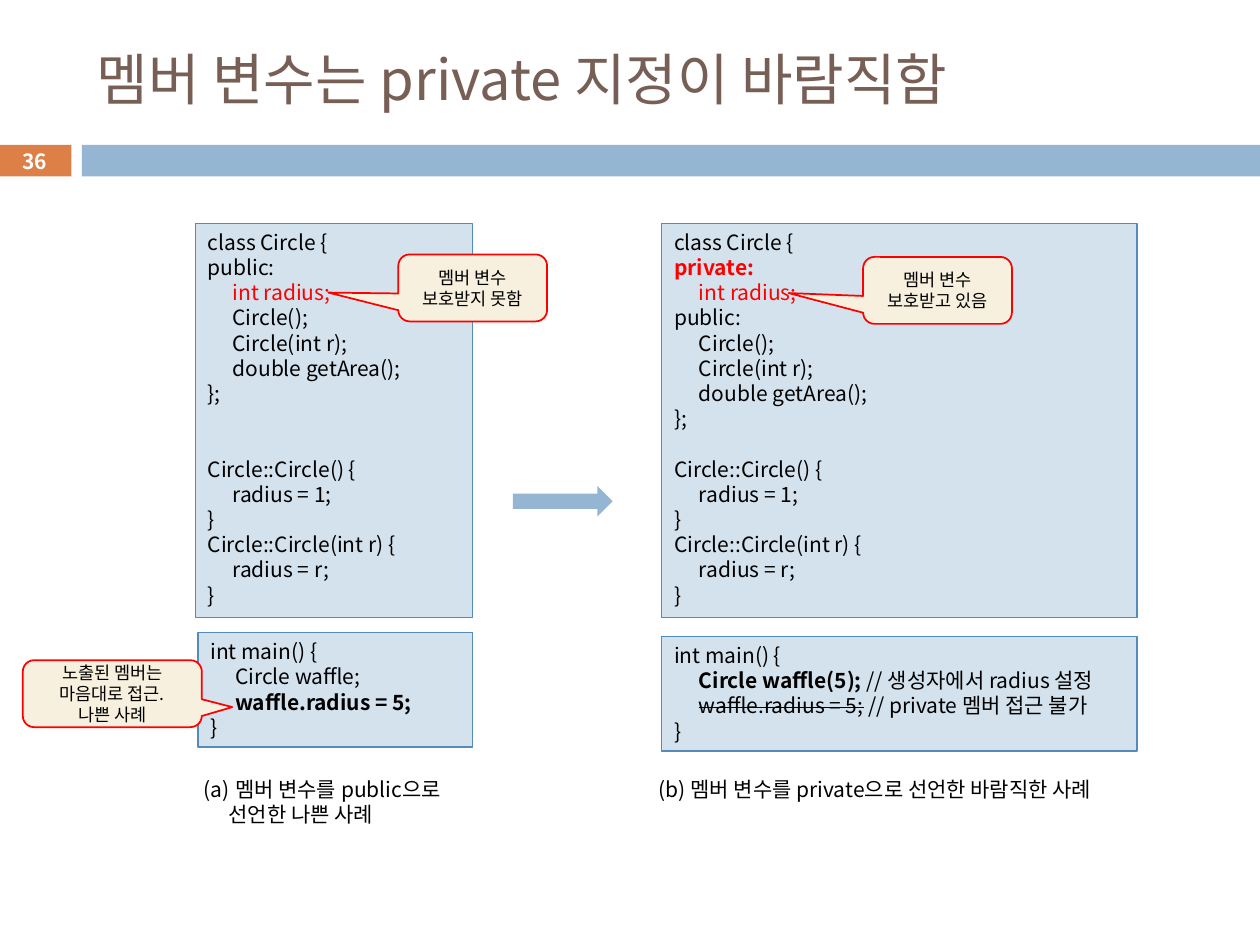
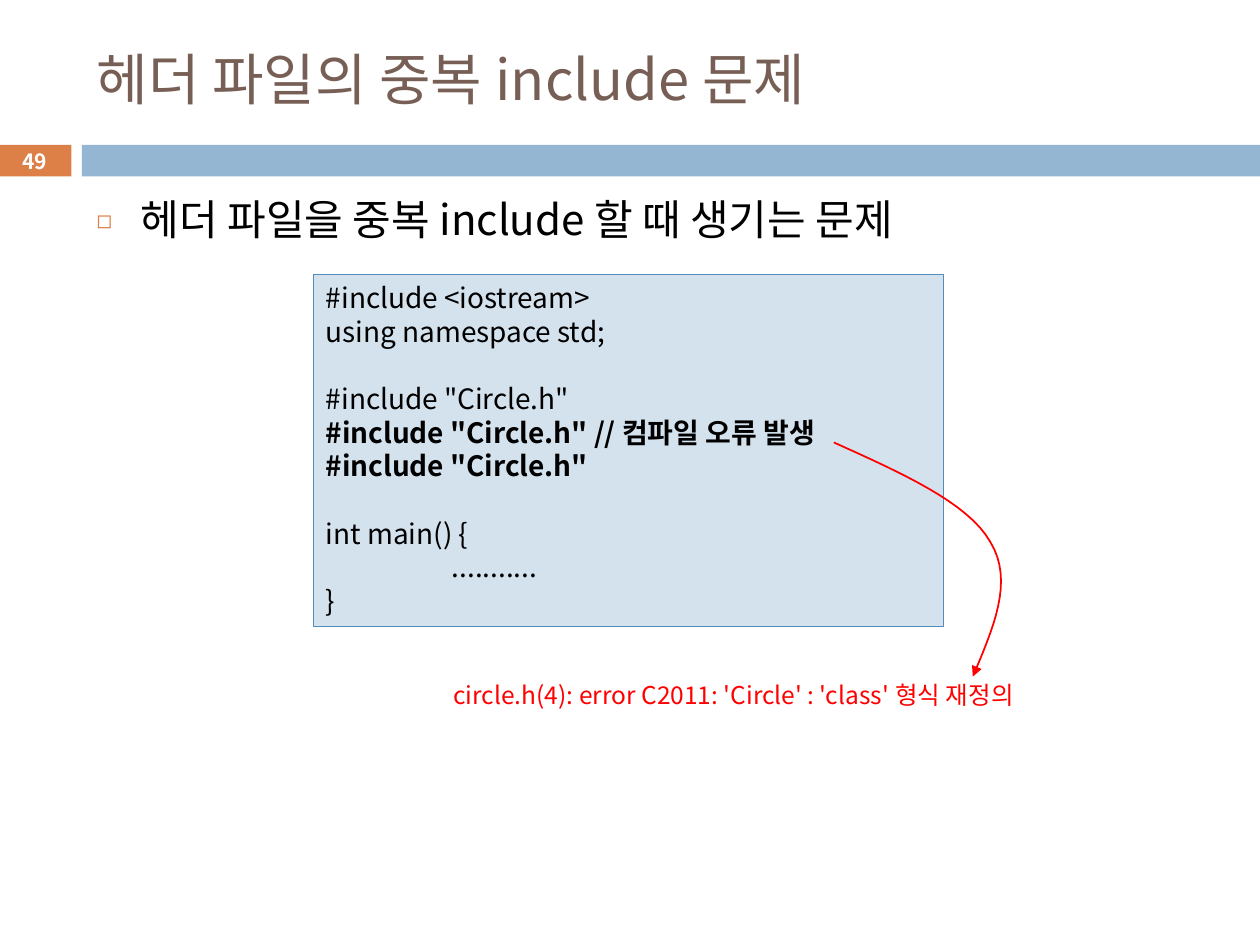
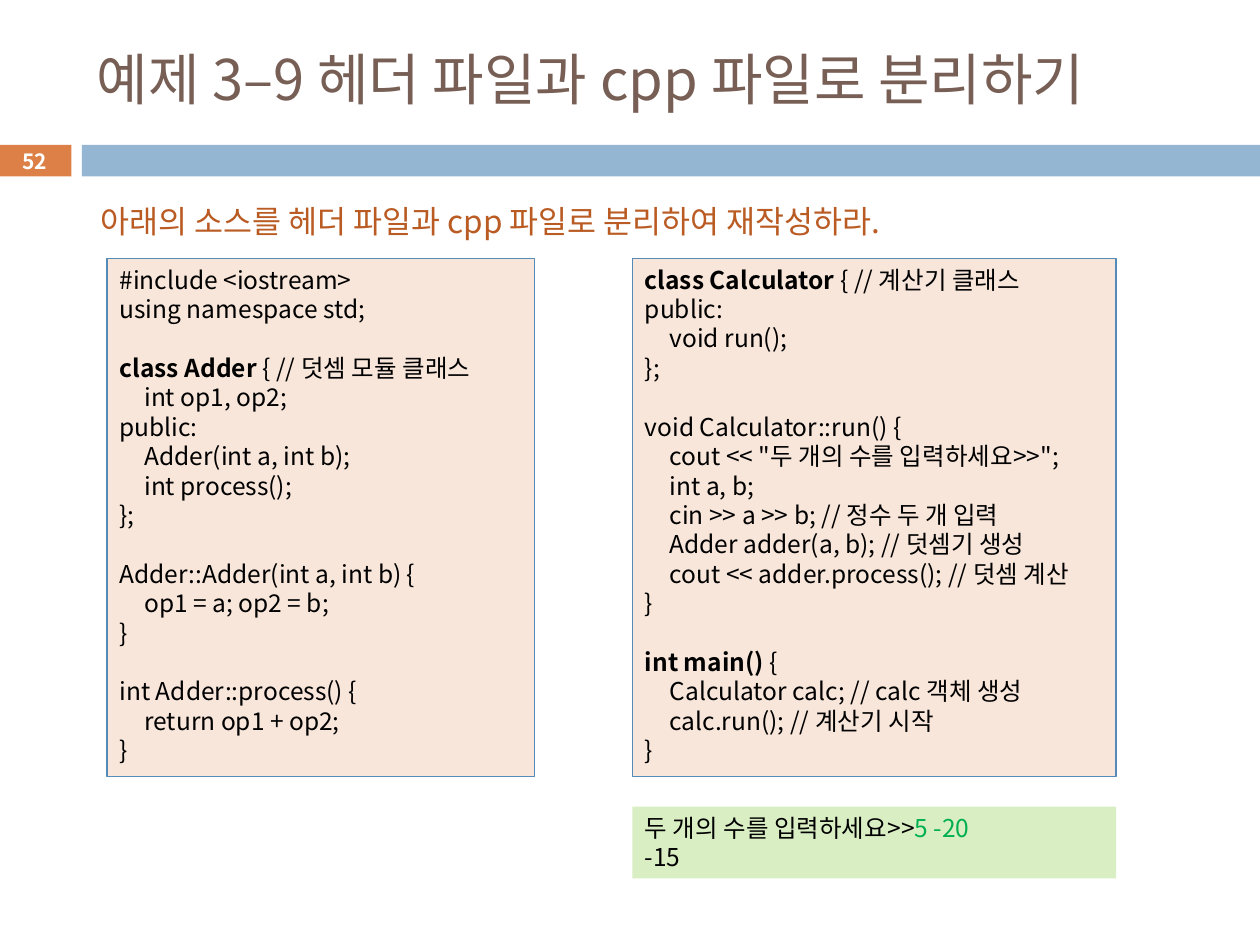
from dataclasses import dataclass

from lxml import etree
from pptx import Presentation
from pptx.dml.color import RGBColor
from pptx.enum import shapes, text
from pptx.oxml import ns
from pptx.util import Cm, Pt


@dataclass(frozen=True)
class Theme:
    """Colours, font and type sizes shared by the slides."""
    font: str = "Noto Sans CJK KR"
    leading: float = 1.2
    title: str = "775F55"
    accent: str = "DD8047"
    band: str = "94B6D2"
    code: str = "D4E2ED"
    source: str = "F8E6DA"
    output: str = "DAEEC4"
    border: str = "558BB8"
    callout: str = "F7F0DE"
    alert: str = "FF0000"
    task: str = "B95B22"
    typed: str = "00B050"
    ink: str = "000000"
    white: str = "FFFFFF"
    title_size: int = 32
    body_size: int = 24
    task_size: int = 18
    large_code_size: int = 16
    source_size: int = 14
    code_size: int = 12
    callout_size: int = 10
    code_tab: float = 0.5


THEME = Theme()
BOLD = {"bold": True}
ALERT = {"color": THEME.alert}
STRIKE = {"strike": True}
LEFT = text.PP_ALIGN.LEFT
CENTER = text.PP_ALIGN.CENTER
TOP = text.MSO_ANCHOR.TOP
MIDDLE = text.MSO_ANCHOR.MIDDLE

CIRCLE_BODIES = [
    "Circle::Circle() {", "\tradius = 1;", "}",
    "Circle::Circle(int r) {", "\tradius = r;", "}",
]
CIRCLE_METHODS = ["\tCircle();", "\tCircle(int r);", "\tdouble getArea();", "};"]

EXPOSED_CLASS = [
    "class Circle {", "public:", ["\t", ("int radius;", ALERT)],
    *CIRCLE_METHODS, "", "", *CIRCLE_BODIES,
]
EXPOSED_MAIN = ["int main() {", "\tCircle waffle;", ["\t", ("waffle.radius = 5;", BOLD)], "}"]

PROTECTED_CLASS = [
    "class Circle {", [("private:", BOLD | ALERT)], [("\tint radius;", ALERT)], "public:",
    *CIRCLE_METHODS, "", *CIRCLE_BODIES,
]
PROTECTED_MAIN = [
    "int main() {",
    ["\t", ("Circle waffle(5); ", BOLD), "// 생성자에서 radius 설정"],
    ["\t", ("waffle.radius = 5;", STRIKE), " // private 멤버 접근 불가"],
    "}",
]

DUPLICATE_INCLUDE = [
    "#include <iostream>", "using namespace std;", "",
    '#include "Circle.h"',
    [('#include "Circle.h" // 컴파일 오류 발생', BOLD)],
    [('#include "Circle.h"', BOLD)], "",
    "int main() {", "\t...........", "}",
]

ADDER_SOURCE = [
    "#include <iostream>", "using namespace std;", "",
    [("class Adder ", BOLD), "{ // 덧셈 모듈 클래스"],
    "\tint op1, op2;", "public:", "\tAdder(int a, int b);", "\tint process();", "};", "",
    "Adder::Adder(int a, int b) {", "\top1 = a; op2 = b;", "}", "",
    "int Adder::process() {", "\treturn op1 + op2;", "}",
]
CALCULATOR_SOURCE = [
    [("class Calculator ", BOLD), "{ // 계산기 클래스"],
    "public:", "\tvoid run();", "};", "",
    "void Calculator::run() {", '\tcout << "두 개의 수를 입력하세요>>";', "\tint a, b;",
    "\tcin >> a >> b; // 정수 두 개 입력", "\tAdder adder(a, b); // 덧셈기 생성",
    "\tcout << adder.process(); // 덧셈 계산", "}", "",
    [("int main() ", BOLD), "{"],
    "\tCalculator calc; // calc 객체 생성", "\tcalc.run(); // 계산기 시작", "}",
]


def rgb(value):
    """Turn a hex string into a colour."""
    return RGBColor.from_string(value)


def lengths(box):
    """Turn a box in centimetres into lengths."""
    return [Cm(value) for value in box]


def add_element(parent, tag, **attributes):
    """Append a DrawingML element to its parent."""
    return etree.SubElement(parent, ns.qn(tag), {key: str(value) for key, value in attributes.items()})


def add_run(paragraph, content, size, color, bold=False, strike=False):
    """Add one run with its own character style."""
    run = paragraph.add_run()
    run.text = content
    font = run.font
    font.name, font.size, font.bold = THEME.font, Pt(size), bold
    font.color.rgb = rgb(color)
    properties = run._r.get_or_add_rPr()
    add_element(properties, "a:ea", typeface=THEME.font)
    if strike:
        properties.set("strike", "sngStrike")


def write(shape, lines, size, color=THEME.ink, align=LEFT, anchor=TOP, tab=None, fixed=True):
    """Write lines into a shape, turning empty lines into space before the next one."""
    frame = shape.text_frame
    frame.word_wrap, frame.vertical_anchor = True, anchor
    gap, paragraph = 0, None
    for line in lines:
        if not line:
            gap += 1
            continue
        paragraph = frame.add_paragraph() if paragraph is not None else frame.paragraphs[0]
        paragraph.alignment = align
        if fixed:
            paragraph.line_spacing = Pt(size * THEME.leading)
        if gap:
            paragraph.space_before = Pt(gap * size * THEME.leading)
            gap = 0
        if tab:
            stops = add_element(paragraph._p.get_or_add_pPr(), "a:tabLst")
            add_element(stops, "a:tab", pos=Cm(tab), algn="l")
        for part in [line] if isinstance(line, str) else line:
            content, style = (part, {}) if isinstance(part, str) else part
            add_run(paragraph, content, size, **({"color": color} | style))
    return frame


def add_label(slide, box, lines, size, **options):
    """Add a text box."""
    return write(slide.shapes.add_textbox(*lengths(box)), lines, size, **options)


def add_block(slide, box, fill, line=None, width=0.75, kind=shapes.MSO_SHAPE.RECTANGLE):
    """Add a filled preset shape with an optional outline."""
    shape = slide.shapes.add_shape(kind, *lengths(box))
    shape.shadow.inherit = False
    shape.fill.solid()
    shape.fill.fore_color.rgb = rgb(fill)
    if line:
        shape.line.color.rgb = rgb(line)
        shape.line.width = Pt(width)
    else:
        shape.line.fill.background()
    return shape


def add_code(slide, box, lines, size=THEME.code_size, fill=THEME.code, tab=THEME.code_tab):
    """Add a bordered code listing."""
    write(add_block(slide, box, fill, THEME.border), lines, size, tab=tab)


def add_callout(slide, box, pointer, lines):
    """Add a rounded callout whose tip sits at the pointer fractions."""
    shape = add_block(slide, box, THEME.callout, THEME.alert, 1,
                      shapes.MSO_SHAPE.ROUNDED_RECTANGULAR_CALLOUT)
    for index, value in enumerate((*pointer, 0.17)):
        shape.adjustments[index] = value
    write(shape, lines, THEME.callout_size, align=CENTER, anchor=MIDDLE)


def add_curved_arrow(slide, start, curves, steps=16):
    """Draw a smooth arrow through cubic curves."""
    points, origin = [], start
    for first, second, end in curves:
        for step in range(1, steps + 1):
            t = step / steps
            weights = ((1 - t) ** 3, 3 * t * (1 - t) ** 2, 3 * t * t * (1 - t), t ** 3)
            corners = (origin, first, second, end)
            points.append(tuple(Cm(sum(w * c[axis] for w, c in zip(weights, corners)))
                                for axis in (0, 1)))
        origin = end
    builder = slide.shapes.build_freeform(*lengths(start))
    builder.add_line_segments(points, close=False)
    shape = builder.convert_to_shape()
    shape.shadow.inherit = False
    shape.fill.background()
    shape.line.color.rgb = rgb(THEME.alert)
    shape.line.width = Pt(1)
    add_element(shape.line._get_or_add_ln(), "a:tailEnd", type="triangle")


def add_page(presentation, title, number):
    """Add a slide with the shared title, band and page number."""
    slide = presentation.slides.add_slide(presentation.slide_layouts[6])
    tag = add_block(slide, (-0.03, 2.92, 1.47, 0.64), THEME.accent)
    write(tag, [[(str(number), BOLD)]], 12, THEME.white, CENTER, MIDDLE)
    add_block(slide, (1.65, 2.92, 23.75, 0.64), THEME.band)
    add_label(slide, (1.7, 0.64, 22.66, 1.88), [title], THEME.title_size,
              color=THEME.title, anchor=MIDDLE, fixed=False)
    return slide


def add_case(slide, box, class_lines, main_lines, main_offset, callout_offset, pointer, note):
    """Add a class listing, its main listing below and a callout on the member."""
    left, top, width, height = box
    shift, drop = main_offset
    add_code(slide, box, class_lines)
    add_code(slide, (left + shift, top + height + drop, width - shift, 2.31), main_lines)
    add_callout(slide, (left + callout_offset[0], top + callout_offset[1], 3, 1.35), pointer, note)


def build_private_slide(presentation):
    """Compare a public and a private member variable."""
    slide = add_page(presentation, "멤버 변수는 private 지정이 바람직함", 36)
    add_case(slide, (3.94, 4.5, 5.59, 7.95), EXPOSED_CLASS, EXPOSED_MAIN,
             (0.05, 0.3), (4.09, 0.63), (-0.97, 0.07), ["멤버 변수", "보호받지 못함"])
    add_case(slide, (13.34, 4.5, 9.58, 7.95), PROTECTED_CLASS, PROTECTED_MAIN,
             (0, 0.38), (4.06, 0.68), (-1, 0.04), ["멤버 변수", "보호받고 있음"])
    add_block(slide, (10.34, 9.8, 2.01, 0.61), THEME.band, kind=shapes.MSO_SHAPE.RIGHT_ARROW)
    add_callout(slide, (0.46, 13.31, 3.61, 1.35), (0.67, 0.2),
                ["노출된 멤버는", "마음대로 접근.", "나쁜 사례"])
    caption = add_label(slide, (3.86, 15.52, 6.2, 1.27),
                        ["멤버 변수를 public으로", "선언한 나쁜 사례"], THEME.code_size)
    first, second = (paragraph._p.get_or_add_pPr() for paragraph in caption.paragraphs)
    first.set("marL", str(Cm(0.63)))
    first.set("indent", str(Cm(-0.63)))
    add_element(first, "a:buFont", typeface=THEME.font)
    add_element(first, "a:buAutoNum", type="alphaLcParenBoth")
    second.set("marL", str(Cm(0.5)))
    add_label(slide, (13.03, 15.52, 10.16, 0.76),
              ["(b) 멤버 변수를 private으로 선언한 바람직한 사례"], THEME.code_size)


def build_include_slide(presentation):
    """Show the error caused by including a header twice."""
    slide = add_page(presentation, "헤더 파일의 중복 include 문제", 49)
    body = add_label(slide, (1.7, 3.78, 22.66, 1.4),
                     ["헤더 파일을 중복 include 할 때 생기는 문제"], THEME.body_size)
    properties = body.paragraphs[0]._p.get_or_add_pPr()
    properties.set("marL", str(Cm(0.89)))
    properties.set("indent", str(Cm(-0.89)))
    add_element(add_element(properties, "a:buClr"), "a:srgbClr", val=THEME.accent)
    add_element(properties, "a:buSzPct", val=60000)
    add_element(properties, "a:buFont", typeface=THEME.font)
    add_element(properties, "a:buChar", char="◻")
    add_code(slide, (6.32, 5.54, 12.7, 7.09), DUPLICATE_INCLUDE, THEME.large_code_size, tab=2.54)
    add_label(slide, (8.89, 13.59, 13.79, 0.86),
              ["circle.h(4): error C2011: 'Circle' : 'class' 형식 재정의"],
              THEME.source_size, color=THEME.alert)
    add_curved_arrow(slide, (16.81, 8.92), [
        ((18.16, 9.53), (19.51, 10.13), (19.96, 10.92)),
        ((20.45, 11.71), (20.02, 12.67), (19.61, 13.64)),
    ])


def build_split_slide(presentation):
    """Show the source to split and its output."""
    slide = add_page(presentation, "예제 3–9 헤더 파일과 cpp 파일로 분리하기", 52)
    add_label(slide, (1.78, 3.94, 17.9, 1.02),
              ["아래의 소스를 헤더 파일과 cpp 파일로 분리하여 재작성하라."],
              THEME.task_size, color=THEME.task)
    for left, width, lines in ((2.16, 8.61, ADDER_SOURCE), (12.75, 9.75, CALCULATOR_SOURCE)):
        add_code(slide, (left, 5.21, width, 10.44), lines, THEME.source_size, THEME.source)
    output = add_block(slide, (12.75, 16.26, 9.75, 1.45), THEME.output)
    write(output, [["두 개의 수를 입력하세요>>", ("5 -20", {"color": THEME.typed})], "-15"],
          THEME.source_size)


def main():
    """Build the presentation."""
    presentation = Presentation()
    presentation.slide_width, presentation.slide_height = Cm(25.4), Cm(19.05)
    build_private_slide(presentation)
    build_include_slide(presentation)
    build_split_slide(presentation)
    presentation.save("out.pptx")


if __name__ == "__main__":
    main()
